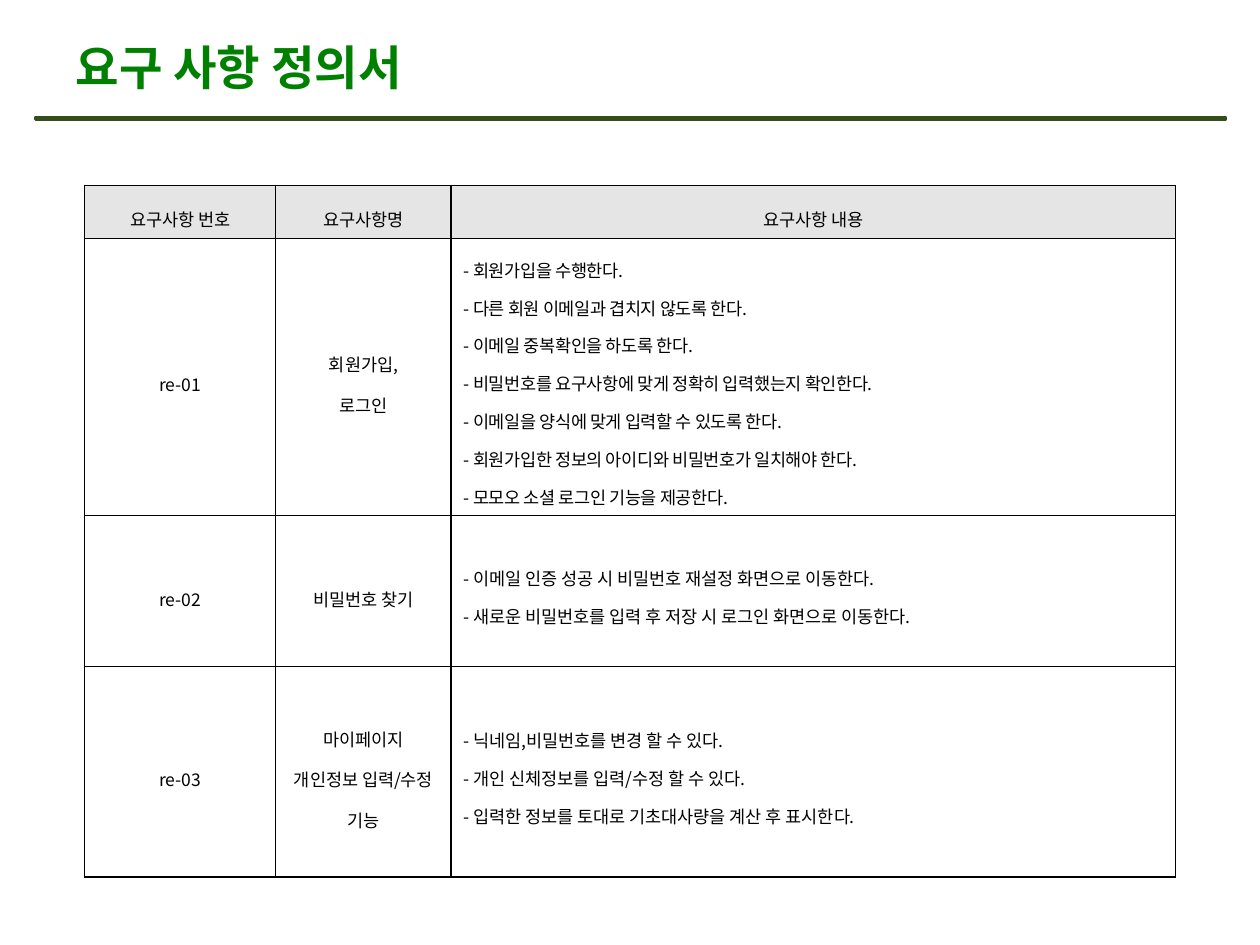
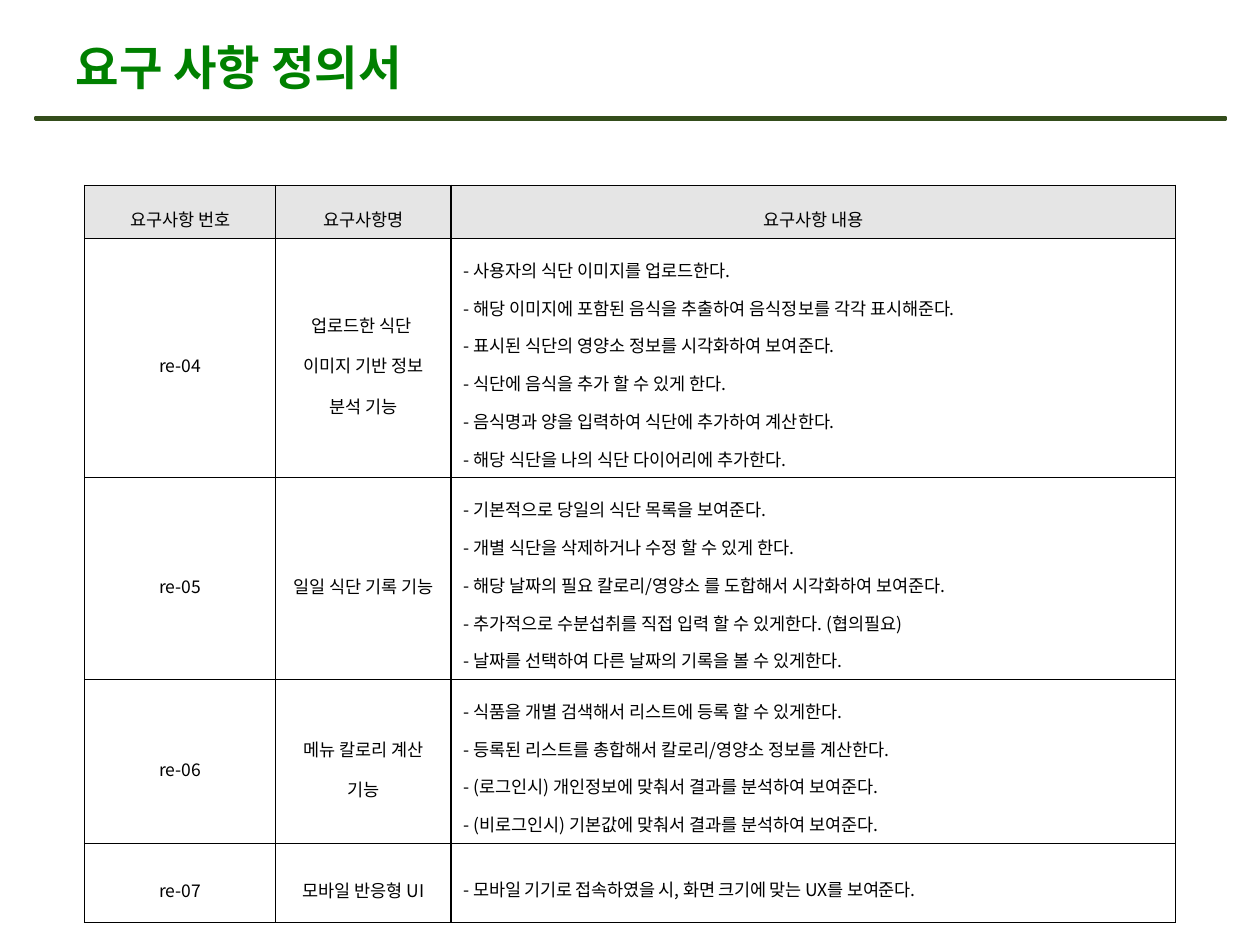
from lxml.etree import SubElement
from pptx import Presentation
from pptx.dml.color import RGBColor
from pptx.enum.shapes import MSO_SHAPE
from pptx.enum.text import MSO_ANCHOR, MSO_AUTO_SIZE, PP_ALIGN
from pptx.oxml import parse_xml
from pptx.oxml.ns import nsdecls, qn
from pptx.util import Inches, Pt

FONT = "Noto Sans CJK KR"
TITLE = "요구 사항 정의서"
HEADERS = ["요구사항 번호", "요구사항명", "요구사항 내용"]
COLUMN_WIDTHS = [1.52, 1.39, 5.75]
HEADER_HEIGHT = 0.37
COLORS = {"title": "008000", "rule": "699B37", "rule edge": "344D1B",
          "text": "000000", "header": "E5E5E5"}

# Each requirement: number, row height, letter spacing (1/100 pt), name lines, content lines
PAGES = [
    [
        ("re-01", 1.85, -20, ["회원가입,", "로그인"], [
            "회원가입을 수행한다.",
            "다른 회원 이메일과 겹치지 않도록 한다.",
            "이메일 중복확인을 하도록 한다.",
            "비밀번호를 요구사항에 맞게 정확히 입력했는지 확인한다.",
            "이메일을 양식에 맞게 입력할 수 있도록 한다.",
            "회원가입한 정보의 아이디와 비밀번호가 일치해야 한다.",
            "모모오 소셜 로그인 기능을 제공한다."]),
        ("re-02", 1.2, 0, ["비밀번호 찾기"], [
            "이메일 인증 성공 시 비밀번호 재설정 화면으로 이동한다.",
            "새로운 비밀번호를 입력 후 저장 시 로그인 화면으로 이동한다."]),
        ("re-03", 1.67, 0, ["마이페이지", "개인정보 입력/수정 기능"], [
            "닉네임,비밀번호를 변경 할 수 있다.",
            "개인 신체정보를 입력/수정 할 수 있다.",
            "입력한 정보를 토대로 기초대사량을 계산 후 표시한다."]),
    ],
    [
        ("re-04", 1.6, 0, ["업로드한 식단 ", "이미지 기반 정보 분석 기능"], [
            "사용자의 식단 이미지를 업로드한다.",
            "해당 이미지에 포함된 음식을 추출하여 음식정보를 각각 표시해준다.",
            "표시된 식단의 영양소 정보를 시각화하여 보여준다.",
            "식단에 음식을 추가 할 수 있게 한다.",
            "음식명과 양을 입력하여 식단에 추가하여 계산한다.",
            "해당 식단을 나의 식단 다이어리에 추가한다."]),
        ("re-05", 1.35, 0, ["일일 식단 기록 기능"], [
            "기본적으로 당일의 식단 목록을 보여준다.",
            "개별 식단을 삭제하거나 수정 할 수 있게 한다.",
            "해당 날짜의 필요 칼로리/영양소 를 도합해서 시각화하여 보여준다.",
            "추가적으로 수분섭취를 직접 입력 할 수 있게한다. (협의필요)",
            "날짜를 선택하여 다른 날짜의 기록을 볼 수 있게한다."]),
        ("re-06", 1.1, 0, ["메뉴 칼로리 계산 기능"], [
            "식품을 개별 검색해서 리스트에 등록 할 수 있게한다.",
            "등록된 리스트를 총합해서 칼로리/영양소 정보를 계산한다.",
            "(로그인시) 개인정보에 맞춰서 결과를 분석하여 보여준다.",
            "(비로그인시) 기본값에 맞춰서 결과를 분석하여 보여준다."]),
        ("re-07", 0.63, -10, ["모바일 반응형 UI"], [
            "모바일 기기로 접속하였을 시, 화면 크기에 맞는 UX를 보여준다."]),
    ],
]


def color(name):
    return RGBColor.from_string(COLORS[name])


def write(frame, lines, size, color_name, bold=False, align=PP_ALIGN.LEFT,
          line_spacing=1.0, letter_spacing=0):
    """Fill a text frame with one paragraph per line."""
    for index, line in enumerate(lines):
        para = frame.paragraphs[0] if index == 0 else frame.add_paragraph()
        para.alignment = align
        para.line_spacing = line_spacing
        span = para.add_run()
        span.text = line
        for key, value in {"name": FONT, "size": Pt(size), "bold": bold}.items():
            setattr(span.font, key, value)
        span.font.color.rgb = color(color_name)
        properties = span.font._element
        SubElement(properties, qn("a:ea")).set("typeface", FONT)
        if letter_spacing:
            properties.set("spc", str(letter_spacing))


deck = Presentation()
deck.slide_width, deck.slide_height = Inches(10), Inches(7.5)

for requirements in PAGES:
    page = deck.slides.add_slide(deck.slide_layouts[5])

    rule = page.shapes.add_shape(MSO_SHAPE.RECTANGLE, Inches(0.28), Inches(0.93),
                                 Inches(9.45), Inches(0.02))
    rule.shadow.inherit = False
    rule.fill.solid()
    rule.fill.fore_color.rgb = color("rule")
    rule.line.color.rgb = color("rule edge")
    rule.line.width = Pt(1.5)

    title = page.shapes.title
    title.left, title.top = Inches(0.5), Inches(0.3)
    title.width, title.height = Inches(6.67), Inches(0.46)
    title.text_frame.auto_size = MSO_AUTO_SIZE.NONE
    title.text_frame.vertical_anchor = MSO_ANCHOR.MIDDLE
    write(title.text_frame, [TITLE], 27, "title", bold=True)

    heights = [HEADER_HEIGHT] + [requirement[1] for requirement in requirements]
    table = page.shapes.add_table(
        len(heights), len(COLUMN_WIDTHS), Inches(0.67), Inches(1.47),
        Inches(sum(COLUMN_WIDTHS)), Inches(sum(heights))).table
    table.first_row = table.horz_banding = False
    for column, width in zip(table.columns, COLUMN_WIDTHS):
        column.width = Inches(width)
    for row, height in zip(table.rows, heights):
        row.height = Inches(height)

    for column_index, header in enumerate(HEADERS):
        write(table.cell(0, column_index).text_frame, [header], 10, "text",
              align=PP_ALIGN.CENTER, line_spacing=1.6)
    for row_index, (number, _, spacing, names, contents) in enumerate(requirements, 1):
        for column_index, lines in enumerate([[number], names]):
            write(table.cell(row_index, column_index).text_frame, lines, 10, "text",
                  align=PP_ALIGN.CENTER, line_spacing=1.6)
        write(table.cell(row_index, 2).text_frame, [f"- {line}" for line in contents],
              10, "text", align=PP_ALIGN.JUSTIFY, line_spacing=1.5,
              letter_spacing=spacing)

    for row_index, row in enumerate(table.rows):
        for cell in row.cells:
            cell.vertical_anchor = MSO_ANCHOR.MIDDLE
            if row_index == 0:
                cell.fill.solid()
                cell.fill.fore_color.rgb = color("header")
            else:
                cell.fill.background()
            for position, side in enumerate(["lnL", "lnR", "lnT", "lnB"]):
                border = parse_xml(
                    f'<a:{side} {nsdecls("a")} w="{Pt(0.67)}"><a:solidFill>'
                    f'<a:srgbClr val="{COLORS["text"]}"/></a:solidFill></a:{side}>')
                cell._tc.get_or_add_tcPr().insert(position, border)

deck.save("out.pptx")
